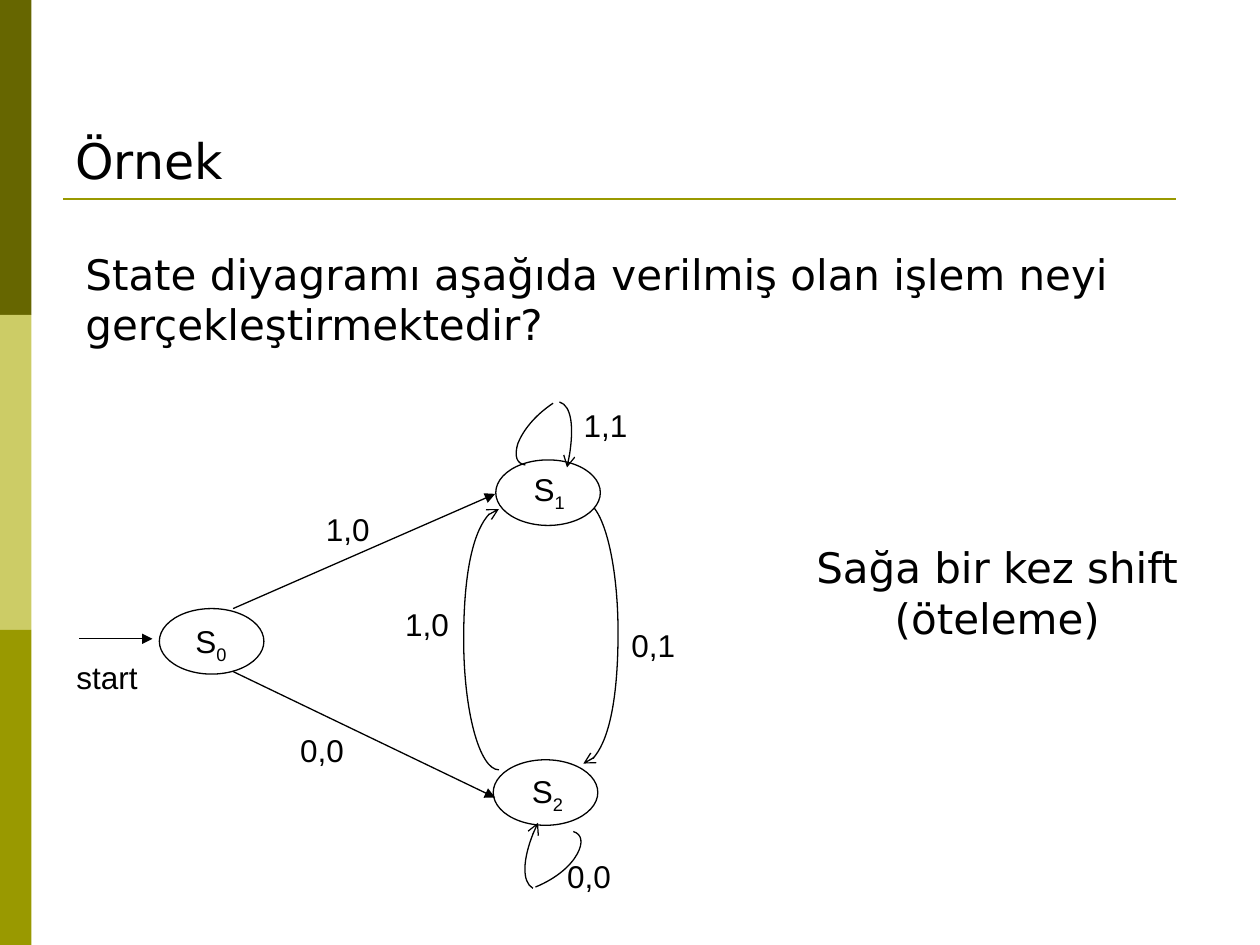
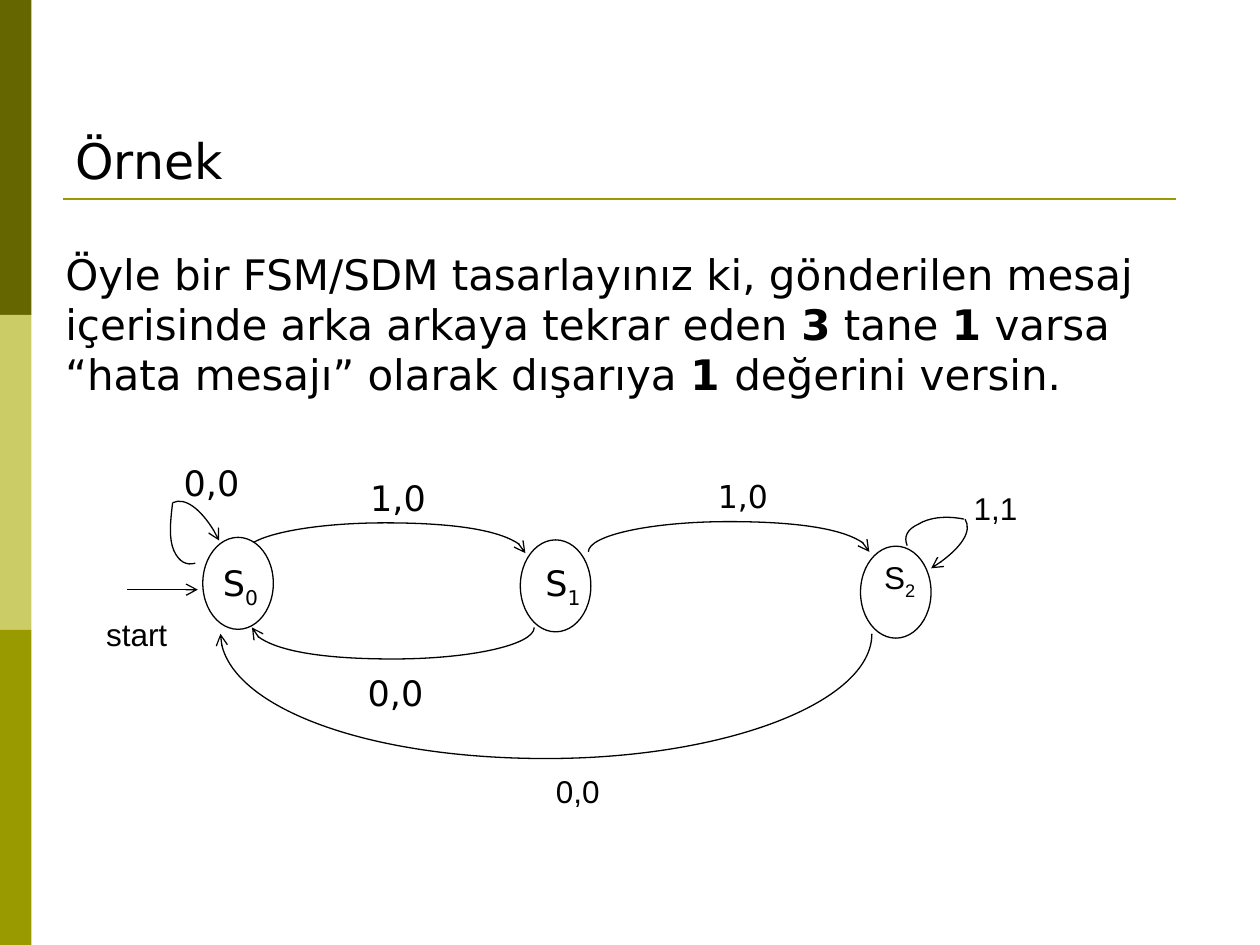
"""Build two slides about finite state machines, laid out on a grid of 100 columns by 75 rows."""
from dataclasses import dataclass
from typing import Any, NamedTuple, Optional

from lxml.etree import SubElement
from pptx import Presentation
from pptx.dml.color import RGBColor
from pptx.enum.shapes import MSO_CONNECTOR, MSO_SHAPE
from pptx.enum.text import MSO_ANCHOR, PP_ALIGN
from pptx.oxml.ns import qn
from pptx.util import Inches, Pt

WIDTH, HEIGHT = Inches(10), Inches(7.5)
COL, ROW = WIDTH / 100, HEIGHT / 75
BLACK = RGBColor(0x00, 0x00, 0x00)
WHITE = RGBColor(0xFF, 0xFF, 0xFF)
DARK_OLIVE = RGBColor(0x66, 0x66, 0x00)
PALE_OLIVE = RGBColor(0xCC, 0xCC, 0x66)
OLIVE = RGBColor(0x99, 0x99, 0x00)
BANDS = (DARK_OLIVE, PALE_OLIVE, OLIVE)
KAPPA = 0.55

Point = tuple[float, float]


class Box(NamedTuple):
    left: float
    top: float
    width: float
    height: float


class Run(NamedTuple):
    text: str
    bold: bool = False
    baseline: int = 0


class Style(NamedTuple):
    size: int
    font: str = "DejaVu Sans"
    align: PP_ALIGN = PP_ALIGN.LEFT
    anchor: MSO_ANCHOR = MSO_ANCHOR.TOP


TITLE = Style(28, anchor=MSO_ANCHOR.BOTTOM)
BODY = Style(24)
ANSWER = Style(24, align=PP_ALIGN.CENTER)
ARIAL = Style(18, "Arial", PP_ALIGN.CENTER)
SANS = Style(20)
SANS_SMALL = Style(18)


@dataclass(frozen=True)
class Label:
    box: Box
    runs: tuple[Run, ...]
    style: Style = ARIAL


@dataclass(frozen=True)
class Arc:
    """Half an ellipse from start to end, bulging sideways by an offset."""
    start: Point
    end: Point
    bulge: Point

    def points(self) -> list[Point]:
        """Return the start and the control points of two cubic curves."""
        (x0, y0), (x1, y1), (bx, by) = self.start, self.end, self.bulge
        mx, my = (x0 + x1) / 2 + bx, (y0 + y1) / 2 + by
        hx, hy = KAPPA * (x1 - x0) / 2, KAPPA * (y1 - y0) / 2
        kx, ky = KAPPA * bx, KAPPA * by
        return [self.start, (x0 + kx, y0 + ky), (mx - hx, my - hy), (mx, my),
                (mx + hx, my + hy), (x1 + kx, y1 + ky), self.end]


@dataclass(frozen=True)
class Loop:
    """A self-transition: a stroke out of the state and an arrow back."""
    out: list[Point]
    back: list[Point]


@dataclass(frozen=True)
class Arrow:
    start: Point
    end: Point
    head: str


@dataclass(frozen=True)
class Diagram:
    state_size: Point
    states: list[Point]
    arcs: list[Arc]
    loops: list[Loop]
    arrows: list[Arrow]
    labels: list[Label]


def plain(text: str) -> tuple[Run, ...]:
    """Return a single unformatted run."""
    return (Run(text),)


def state_name(number: int) -> tuple[Run, ...]:
    """Return the runs of a state name with its subscript."""
    return Run("S"), Run(str(number), baseline=-25000)


def grid(point: Point) -> tuple[int, int]:
    """Turn columns and rows into lengths."""
    return round(point[0] * COL), round(point[1] * ROW)


def apply(target: Any, **values: Any) -> None:
    """Set each attribute from its format value."""
    for name, value in values.items():
        setattr(target, name, value)


def outline(sp: Any, color: RGBColor = BLACK, width: float = 0.75, head: Optional[str] = None) -> None:
    """Draw a shape's line, with an arrowhead if given, and no shadow."""
    sp.line.color.rgb = color
    sp.line.width = Pt(width)
    if head:
        SubElement(sp.line._get_or_add_ln(), qn("a:tailEnd"), type=head)
    SubElement(sp._element.spPr, qn("a:effectLst"))


def add_text(s: Any, label: Label) -> None:
    """Add a text box in the label's style."""
    box, style = label.box, label.style
    tf = s.shapes.add_textbox(*grid(box[:2]), *grid(box[2:])).text_frame
    apply(tf, word_wrap=True, vertical_anchor=style.anchor)
    p = tf.paragraphs[0]
    p.alignment = style.align
    for run in label.runs:
        r = p.add_run()
        r.text = run.text
        apply(r.font, name=style.font, size=Pt(style.size), bold=run.bold)
        r.font.color.rgb = BLACK
        if run.baseline:
            r._r.get_or_add_rPr().set("baseline", str(run.baseline))


def add_line(s: Any, start: Point, end: Point, **line: Any) -> None:
    """Add a straight connector."""
    outline(s.shapes.add_connector(MSO_CONNECTOR.STRAIGHT, *grid(start), *grid(end)), **line)


def add_curve(s: Any, points: list[Point], head: Optional[str] = None) -> None:
    """Add an open cubic curve through a start and triples of control points."""
    first, *rest = map(grid, points)
    ff = s.shapes.build_freeform(*first)
    ff.add_line_segments(rest, close=False)
    sp = ff.convert_to_shape()
    sp.fill.background()
    route = sp._element.find(".//" + qn("a:path"))
    segments = route.findall(qn("a:lnTo"))
    for i in range(0, len(segments), 3):
        cubic = SubElement(route, qn("a:cubicBezTo"))
        for segment in segments[i:i + 3]:
            cubic.append(segment[0])
            route.remove(segment)
    outline(sp, head=head)


def add_state(s: Any, center: Point, size: Point) -> None:
    """Add a state's ellipse around its centre."""
    corner = center[0] - size[0] / 2, center[1] - size[1] / 2
    sp = s.shapes.add_shape(MSO_SHAPE.OVAL, *grid(corner), *grid(size))
    sp.fill.solid()
    sp.fill.fore_color.rgb = WHITE
    outline(sp)


def add_diagram(s: Any, diagram: Diagram) -> None:
    """Draw a state diagram, with its arcs behind its states."""
    for arc in diagram.arcs:
        add_curve(s, arc.points(), "arrow")
    for center in diagram.states:
        add_state(s, center, diagram.state_size)
    for loop in diagram.loops:
        add_curve(s, loop.out)
        add_curve(s, loop.back, "arrow")
    for arrow in diagram.arrows:
        add_line(s, arrow.start, arrow.end, head=arrow.head)
    for label in diagram.labels:
        add_text(s, label)


def add_slide(prs: Any, texts: list[Label], diagram: Diagram) -> None:
    """Add a slide with side bands, title, rule, texts and diagram."""
    s = prs.slides.add_slide(prs.slide_layouts[6])
    for i, color in enumerate(BANDS):
        sp = s.shapes.add_shape(MSO_SHAPE.RECTANGLE, *grid((0, 25 * i)), *grid((2.5, 25)))
        sp.fill.solid()
        sp.fill.fore_color.rgb = color
        sp.line.fill.background()
        sp.shadow.inherit = False
    add_line(s, (5, 15.8), (93.3, 15.8), color=OLIVE, width=1.5)
    add_text(s, Label(Box(5, 3, 90, 12.5), plain("Örnek"), TITLE))
    add_diagram(s, diagram)
    for text in texts:
        add_text(s, text)


SHIFT_TEXTS = [
    Label(Box(5.8, 19.2, 88.3, 9),
          plain("State diyagramı aşağıda verilmiş olan işlem neyi gerçekleştirmektedir?"), BODY),
    Label(Box(63.3, 42.5, 31.7, 9), plain("Sağa bir kez shift (öteleme)"), ANSWER),
]
SHIFT_DIAGRAM = Diagram(
    state_size=(8.3, 5.2),
    states=[(16.8, 50.9), (43.5, 39.1), (43.3, 62.9)],
    arcs=[Arc((46.3, 39.8), (46.3, 60.6), (2.75, 0)),
          Arc((39.6, 61.1), (39.6, 40.4), (-2.8, 0))],
    loops=[
        Loop([(41.7, 36.9), (41, 36.8), (40.8, 36.2), (41.1, 35.2), (41.5, 34.2), (42.4, 33), (43.9, 32)],
             [(44.4, 31.9), (45.4, 32.2), (45.6, 34.5), (45, 37.1)]),
        Loop([(45.5, 66), (46.2, 66.2), (46.3, 66.9), (45.8, 67.8), (45.3, 68.7), (44.2, 69.7), (42.5, 70.4)],
             [(42.3, 70.5), (41.4, 70), (41.5, 67.7), (42.7, 65.3)]),
    ],
    arrows=[Arrow((18.5, 48.3), (39.3, 39.2), "triangle"),
            Arrow((18.5, 53.3), (39.3, 63.3), "triangle"),
            Arrow((6.3, 50.7), (12.1, 50.7), "triangle")],
    labels=[
        Label(Box(12.6, 48.9, 8.3, 4.4), state_name(0)),
        Label(Box(38.6, 36.8, 10, 4.4), state_name(1)),
        Label(Box(37.6, 60.8, 11.7, 4.4), state_name(2)),
        Label(Box(44.3, 31.7, 7.5, 4), plain("1,1")),
        Label(Box(46, 49.2, 11.7, 4), plain("0,1")),
        Label(Box(28.5, 47.5, 10.8, 4), plain("1,0")),
        Label(Box(42.6, 67.5, 8.3, 4), plain("0,0")),
        Label(Box(22.6, 40, 10, 4), plain("1,0")),
        Label(Box(19.3, 57.5, 12.5, 4), plain("0,0")),
        Label(Box(1.4, 51.7, 14.2, 4), plain("start")),
    ],
)

ERROR_TEXTS = [
    Label(Box(4.2, 19.2, 90.8, 13), (
        Run("Öyle bir FSM/SDM tasarlayınız ki, gönderilen mesaj içerisinde arka arkaya tekrar eden "),
        Run("3", bold=True), Run(" tane "), Run("1", bold=True),
        Run(" varsa “hata mesajı” olarak dışarıya "), Run("1 ", bold=True), Run("değerini versin."),
    ), BODY),
]
ERROR_DIAGRAM = Diagram(
    state_size=(5.6, 7.3),
    states=[(18.9, 46.3), (44.1, 46.5), (71.1, 47)],
    arcs=[Arc((19.4, 43.9), (41.7, 43.9), (0, -2.4)),
          Arc((42.4, 49.8), (20, 49.8), (0, 2.5)),
          Arc((46.7, 43.8), (69, 43.8), (0, -2.4)),
          Arc((69.2, 50.3), (17.5, 50.3), (0, 9.9))],
    loops=[
        Loop([(72, 43.3), (71.7, 42.6), (72, 42), (72.9, 41.6), (73.7, 41.1), (75, 40.9), (76.5, 41.2)],
             [(76.6, 41.2), (77.2, 42.2), (75.9, 43.9), (73.9, 45.1)]),
        Loop([(15.5, 44.7), (14.8, 44.9), (14.2, 44.6), (13.8, 43.7), (13.4, 42.8), (13.5, 41.5), (13.7, 39.9)],
             [(13.7, 39.9), (14.7, 39.4), (16.4, 40.8), (17.4, 42.9)]),
    ],
    arrows=[Arrow((10.1, 46.8), (15.7, 46.8), "arrow")],
    labels=[
        Label(Box(16.7, 44.1, 5.6, 7.3), state_name(0), SANS),
        Label(Box(42.3, 44.1, 5.6, 7.3), state_name(1), SANS),
        Label(Box(68.5, 43.8, 5.8, 4.4), state_name(2)),
        Label(Box(56, 37.4, 9.3, 4.2), plain("1,0"), SANS_SMALL),
        Label(Box(28.4, 37.3, 7.4, 7.3), plain("1,0"), SANS),
        Label(Box(28.2, 52.8, 9.3, 4.2), plain("0,0"), SANS),
        Label(Box(13.6, 36.1, 9.3, 4.2), plain("0,0"), SANS),
        Label(Box(74.4, 38.3, 9.2, 4), plain("1,1")),
        Label(Box(6.7, 48.3, 8.3, 4), plain("start")),
        Label(Box(39.2, 60.8, 13.3, 4), plain("0,0")),
    ],
)


def main() -> None:
    """Build and save the presentation."""
    prs = Presentation()
    apply(prs, slide_width=WIDTH, slide_height=HEIGHT)
    add_slide(prs, SHIFT_TEXTS, SHIFT_DIAGRAM)
    add_slide(prs, ERROR_TEXTS, ERROR_DIAGRAM)
    prs.save("out.pptx")


if __name__ == "__main__":
    main()
